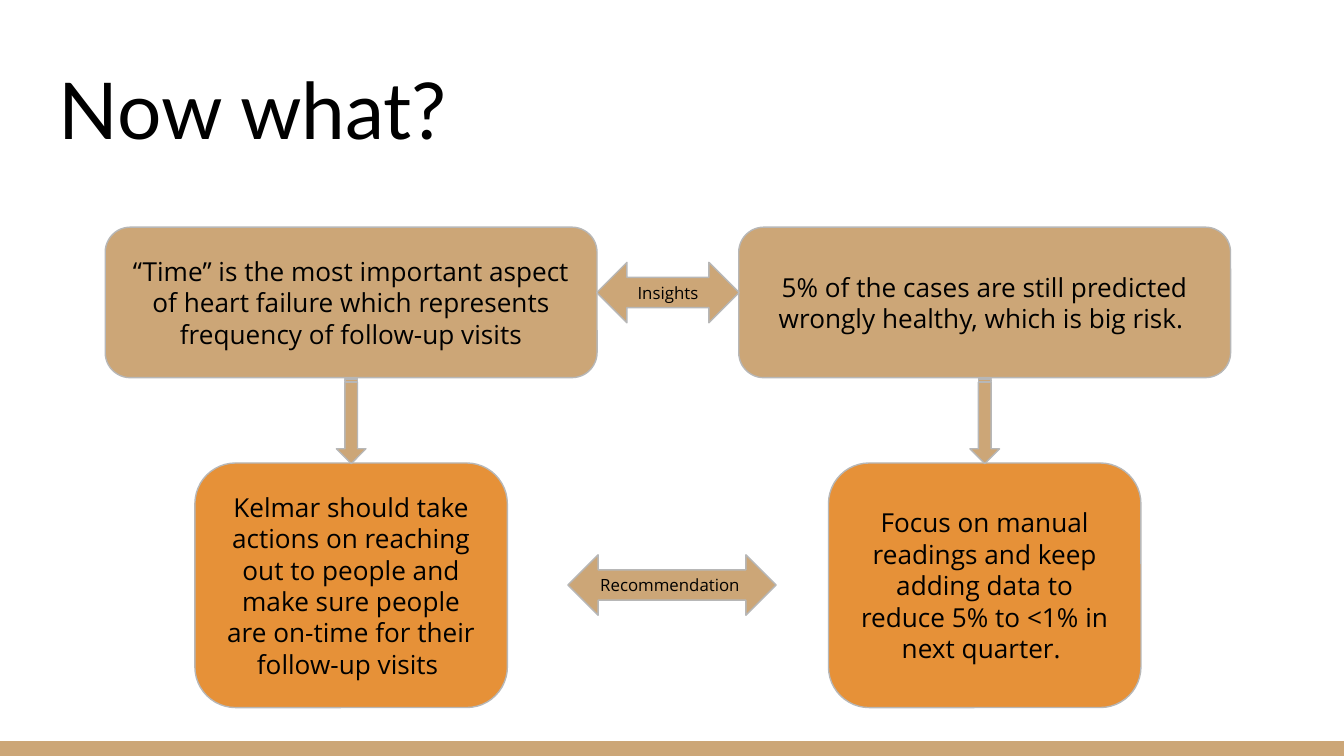
from dataclasses import dataclass

import pptx
import pptx.dml.color
import pptx.enum.shapes
import pptx.enum.text
import pptx.util

RGBColor = pptx.dml.color.RGBColor
SHAPE = pptx.enum.shapes.MSO_SHAPE
ANCHOR = pptx.enum.text.MSO_ANCHOR
ALIGN = pptx.enum.text.PP_ALIGN

TAN = RGBColor(0xCC, 0xA6, 0x77)
ORANGE = RGBColor(0xE6, 0x91, 0x38)
GREY = RGBColor(0xB7, 0xB7, 0xB7)
BLACK = RGBColor(0, 0, 0)

# A 16:9 slide on a grid of 100 columns by 56.25 rows
WIDTH = pptx.util.Inches(10)
HEIGHT = WIDTH * 9 // 16
COL, ROW = WIDTH / 100, HEIGHT / 56.25

# Centre lines shared by the boxes and arrows
LEFT_X, RIGHT_X = 26.13, 73.27
MID_X = (LEFT_X + RIGHT_X) / 2
INSIGHT_Y, ACTION_Y = 22.5, 43.55


@dataclass(frozen=True)
class Block:
    """A shape placed by its centre, in grid columns and rows."""
    kind: SHAPE
    x: float
    y: float
    w: float
    h: float
    fill: RGBColor = TAN
    text: str = ""
    size: float = 14
    adjust: tuple[float, ...] = ()
    rotation: float = 0
    outlined: bool = True


def insight(x: float, text: str) -> Block:
    return Block(SHAPE.ROUNDED_RECTANGLE, x, INSIGHT_Y, 36.6, 11.2, TAN, text, adjust=(1 / 6,))


def action(x: float, text: str) -> Block:
    return Block(SHAPE.ROUNDED_RECTANGLE, x, ACTION_Y, 23.25, 18.2, ORANGE, text, adjust=(1 / 6,))


def down_arrow(x: float) -> Block:
    return Block(SHAPE.STRIPED_RIGHT_ARROW, x, 31.3, 6.4, 2.2, adjust=(0.43, 0.5), rotation=90)


def label_arrow(x: float, y: float, w: float, text: str) -> Block:
    return Block(SHAPE.LEFT_RIGHT_ARROW, x, y, w, 4.5, TAN, text, 9, (0.5, 0.5))


BLOCKS = [
    # Insights and the recommendations below them
    insight(LEFT_X, "“Time” is the most important aspect of heart failure "
                    "which represents frequency of follow-up visits"),
    insight(RIGHT_X, "5% of the cases are still predicted wrongly healthy, which is big risk. "),
    action(LEFT_X, "Kelmar should take actions on reaching out to people and "
                   "make sure people are on-time for their follow-up visits "),
    action(RIGHT_X, "Focus on manual readings and keep adding data to "
                    "reduce 5% to <1% in next quarter. "),
    # Arrows
    down_arrow(LEFT_X),
    down_arrow(RIGHT_X),
    label_arrow(MID_X, 21.77, 10.6, "Insights"),
    label_arrow(50, 43.53, 15.5, "Recommendation "),
]
FOOTER = Block(SHAPE.RECTANGLE, 50, 55.7, 100, 1.1, outlined=False)


def write(shape, text: str, font: str, size: float, align: ALIGN, anchor: ANCHOR) -> None:
    tf = shape.text_frame
    tf.word_wrap = True
    tf.vertical_anchor = anchor
    tf.margin_left = tf.margin_right = pptx.util.Inches(0.1)
    tf.margin_top = tf.margin_bottom = pptx.util.Inches(0.1)
    p = tf.paragraphs[0]
    p.text = text
    p.alignment = align
    p.font.name = font
    p.font.size = pptx.util.Pt(size)
    p.font.color.rgb = BLACK


def draw(slide, block: Block) -> None:
    sp = slide.shapes.add_shape(
        block.kind,
        round((block.x - block.w / 2) * COL), round((block.y - block.h / 2) * ROW),
        round(block.w * COL), round(block.h * ROW))
    sp.shadow.inherit = False
    sp.rotation = block.rotation
    for i, value in enumerate(block.adjust):
        sp.adjustments[i] = value
    sp.fill.solid()
    sp.fill.fore_color.rgb = block.fill
    if block.outlined:
        sp.line.color.rgb = GREY
        sp.line.width = pptx.util.Pt(0.75)
    else:
        sp.line.fill.background()
    if block.text:
        write(sp, block.text, "Open Sans", block.size, ALIGN.CENTER, ANCHOR.MIDDLE)


def main() -> None:
    prs = pptx.Presentation()
    prs.slide_width, prs.slide_height = WIDTH, HEIGHT
    s = prs.slides.add_slide(prs.slide_layouts[6])

    # Footer band
    draw(s, FOOTER)

    # Title
    title = s.shapes.add_textbox(round(3.41 * COL), round(3.45 * ROW),
                                 round(93.18 * COL), round(9.1 * ROW))
    write(title, "Now what?", "Lato", 42, ALIGN.LEFT, ANCHOR.BOTTOM)

    # Boxes and arrows
    for block in BLOCKS:
        draw(s, block)
    prs.save("out.pptx")


if __name__ == "__main__":
    main()
